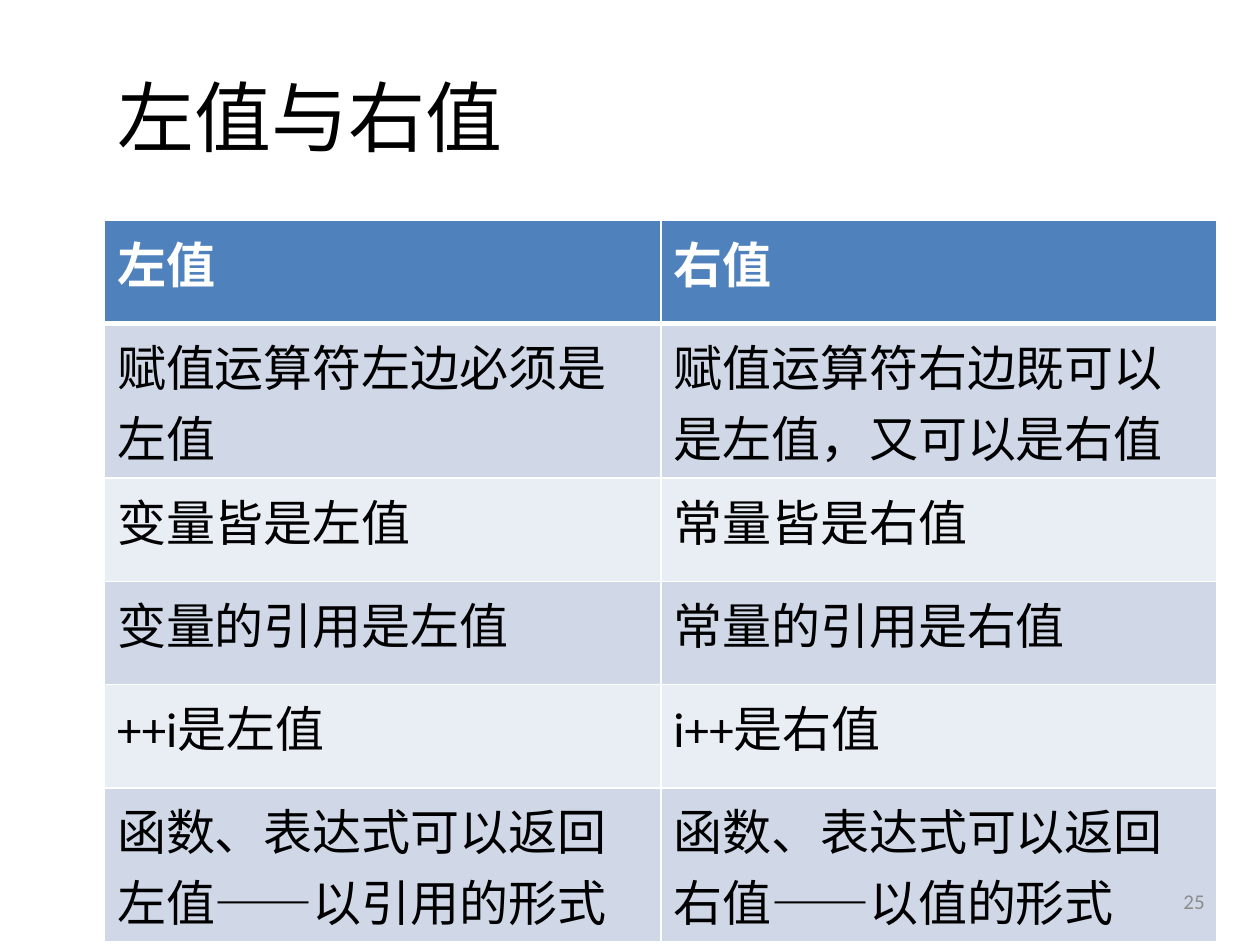
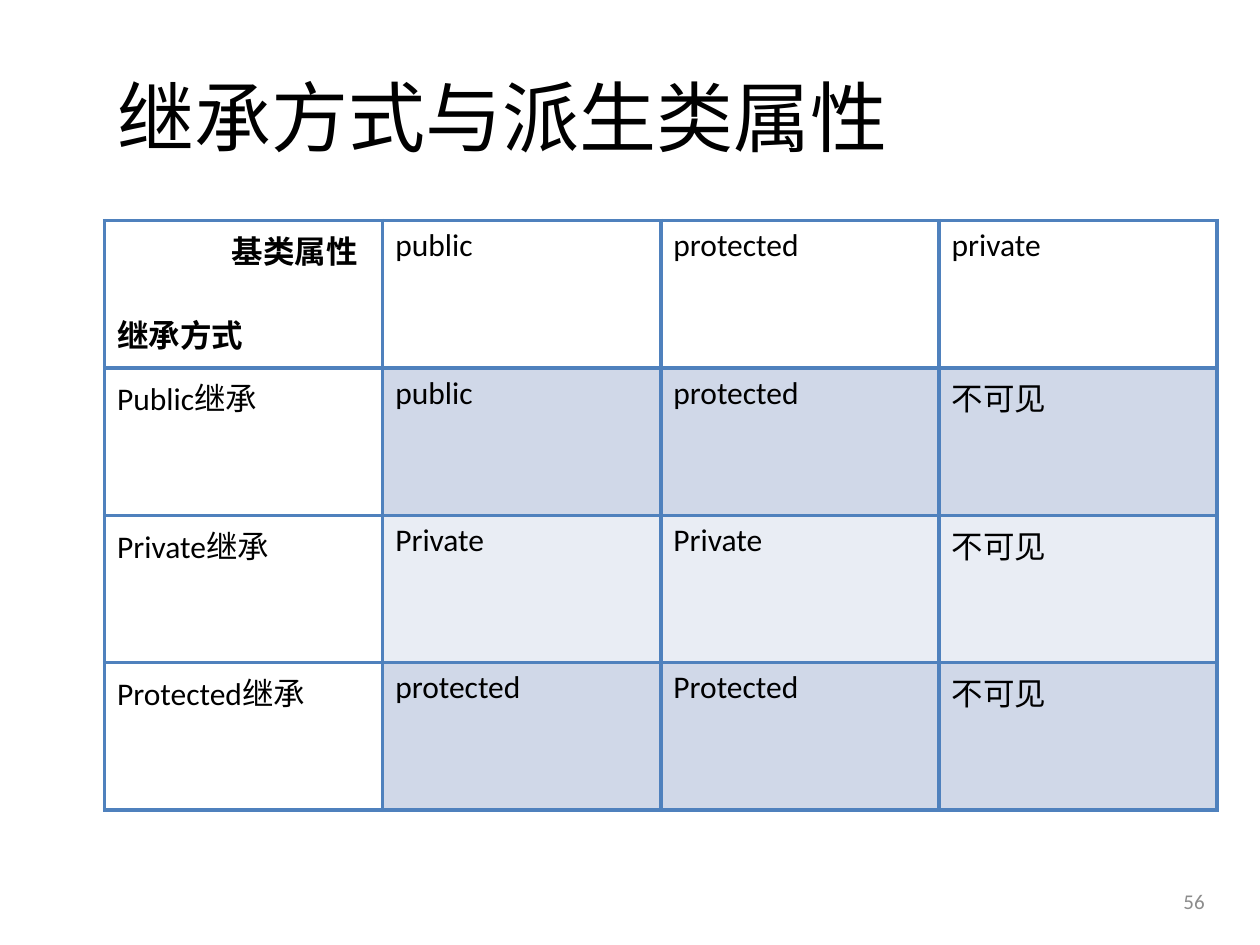
from dataclasses import dataclass

from lxml.etree import SubElement
from pptx import Presentation
from pptx.dml.color import RGBColor
from pptx.enum.text import MSO_ANCHOR as Anchor, PP_ALIGN as Align
from pptx.oxml.ns import qn
from pptx.util import Inches, Pt


@dataclass(frozen=True)
class Theme:
    font: str = "Calibri"
    ink: str = "000000"
    white: str = "FFFFFF"
    accent: str = "4F81BD"
    bands: tuple = ("D0D8E8", "E9EDF4")
    muted: str = "8C8C8C"
    title_size: int = 44
    number_size: int = 12


THEME = Theme()

# Content
VALUE_ROWS = [
    ("左值", "右值"),
    ("赋值运算符左边必须是左值", "赋值运算符右边既可以是左值，又可以是右值"),
    ("变量皆是左值", "常量皆是右值"),
    ("变量的引用是左值", "常量的引用是右值"),
    ("++i是左值", "i++是右值"),
    ("函数、表达式可以返回左值——以引用的形式", "函数、表达式可以返回右值——以值的形式"),
]
CORNER_LABELS = ("基类属性", "继承方式")
INHERITANCE_ROWS = [
    ("", "public", "protected", "private"),
    ("Public继承", "public", "protected", "不可见"),
    ("Private继承", "Private", "Private", "不可见"),
    ("Protected继承", "protected", "Protected", "不可见"),
]

# Shared layout, in inches
LEFT, WIDTH = 0.83, 8.83
TITLE_BOX = (LEFT, 0.29, WIDTH, 1.25)
TABLE_TOP = 1.75
NUMBER_BOX = (7.33, 6.95, 2.33, 0.4)


def add_run(paragraph, text, size, color=THEME.ink, bold=False):
    run = paragraph.add_run()
    run.text = text
    run.font.name = THEME.font
    run.font.size = Pt(size)
    run.font.bold = bold
    run.font.color.rgb = RGBColor.from_string(color)


def set_borders(cell, color, left, right, top, bottom):
    properties = cell._tc.get_or_add_tcPr()
    for side, width in zip("LRTB", (left, right, top, bottom)):
        line = SubElement(properties, qn(f"a:ln{side}"), w=str(Pt(width)))
        SubElement(SubElement(line, qn("a:solidFill")), qn("a:srgbClr"), val=color)


def set_fill(cell, color):
    if color:
        cell.fill.solid()
        cell.fill.fore_color.rgb = RGBColor.from_string(color)
    else:
        cell.fill.background()


def band_color(row):
    return THEME.bands[(row - 1) % 2]


def add_titled_slide(presentation, title):
    slide = presentation.slides.add_slide(presentation.slide_layouts[5])
    shape = slide.shapes.title
    shape.left, shape.top, shape.width, shape.height = map(Inches, TITLE_BOX)
    shape.text_frame.vertical_anchor = Anchor.MIDDLE
    paragraph = shape.text_frame.paragraphs[0]
    paragraph.alignment = Align.LEFT
    add_run(paragraph, title, THEME.title_size)
    return slide


def add_plain_table(slide, row_heights, column_count):
    table = slide.shapes.add_table(
        len(row_heights), column_count, Inches(LEFT), Inches(TABLE_TOP),
        Inches(WIDTH), Inches(sum(row_heights))).table
    table.first_row = table.horz_banding = False
    for column in table.columns:
        column.width = Inches(WIDTH / column_count)
    for row, height in zip(table.rows, row_heights):
        row.height = Inches(height)
    return table


def add_slide_number(slide, number):
    frame = slide.shapes.add_textbox(*map(Inches, NUMBER_BOX)).text_frame
    frame.word_wrap = True
    frame.vertical_anchor = Anchor.MIDDLE
    frame.paragraphs[0].alignment = Align.RIGHT
    add_run(frame.paragraphs[0], str(number), THEME.number_size, THEME.muted)


def build_value_slide(presentation):
    slide = add_titled_slide(presentation, "左值与右值")
    table = add_plain_table(slide, (0.82, 0.9, 0.82, 0.82, 0.82, 0.9), 2)
    for row, texts in enumerate(VALUE_ROWS):
        header = row == 0
        for column, text in enumerate(texts):
            cell = table.cell(row, column)
            add_run(cell.text_frame.paragraphs[0], text, 28,
                    THEME.white if header else THEME.ink, header)
            # A thick rule separates the header from the body
            set_borders(cell, THEME.white, 1, 1,
                        3 if row == 1 else 1, 3 if header else 1)
            set_fill(cell, THEME.accent if header else band_color(row))
    add_slide_number(slide, 25)


def fill_corner(cell, size):
    base_label, mode_label = CORNER_LABELS
    upper = cell.text_frame.paragraphs[0]
    upper._p.get_or_add_pPr().set("marL", str(Inches(0.91)))
    add_run(upper, base_label, size, bold=True)
    lower = cell.text_frame.add_paragraph()
    lower.space_before = Pt(22)
    add_run(lower, mode_label, size, bold=True)


def build_inheritance_slide(presentation):
    slide = add_titled_slide(presentation, "继承方式与派生类属性")
    table = add_plain_table(slide, [1.17] * 4, 4)
    size = 18
    for row, texts in enumerate(INHERITANCE_ROWS):
        for column, text in enumerate(texts):
            cell = table.cell(row, column)
            if text:
                add_run(cell.text_frame.paragraphs[0], text, size)
            set_borders(cell, THEME.accent, *[2.25] * 4)
            set_fill(cell, band_color(row) if row and column else None)
    fill_corner(table.cell(0, 0), size)
    add_slide_number(slide, 56)


def main():
    presentation = Presentation()
    presentation.slide_width, presentation.slide_height = Inches(10), Inches(7.5)
    build_value_slide(presentation)
    build_inheritance_slide(presentation)
    presentation.save("out.pptx")


if __name__ == "__main__":
    main()
